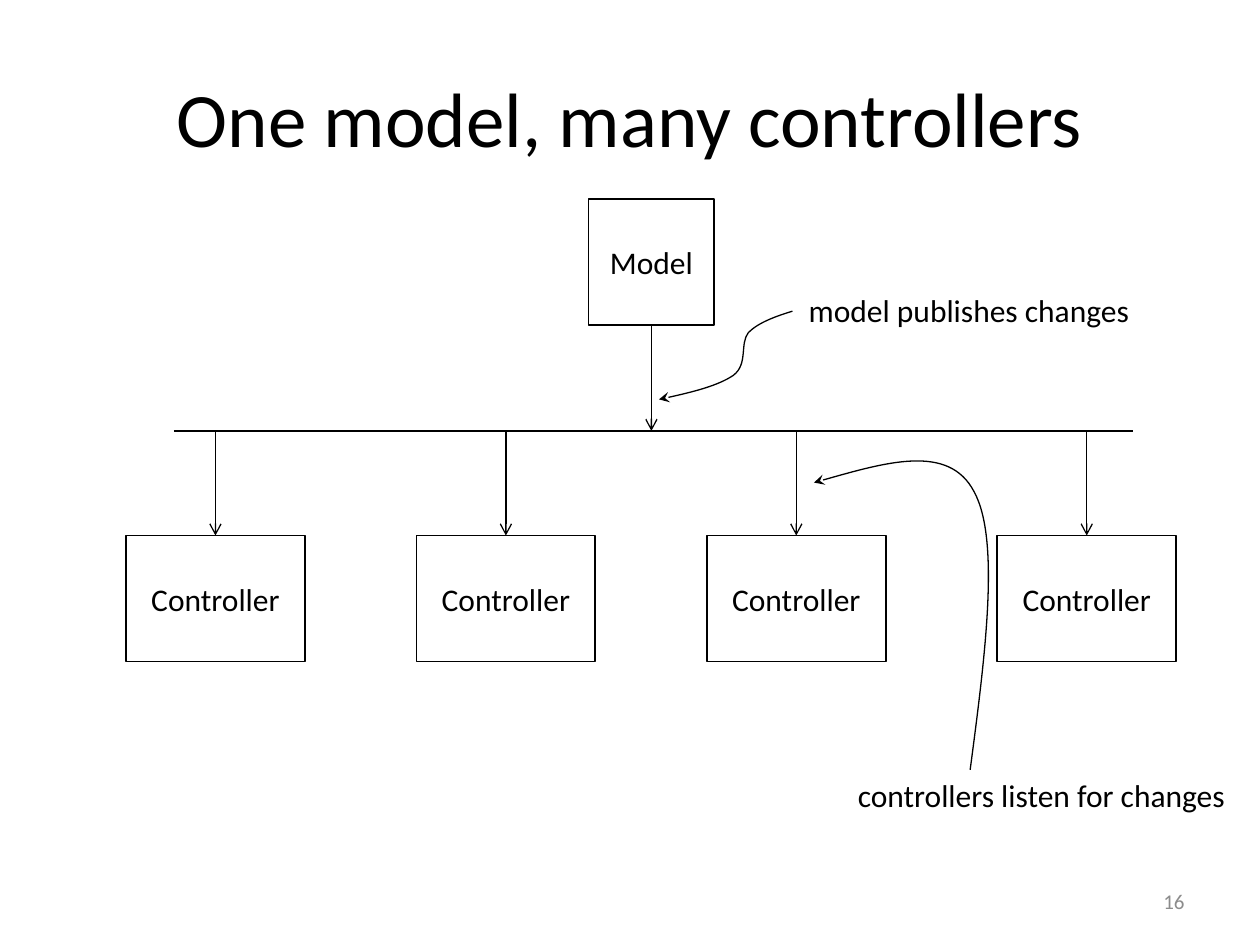
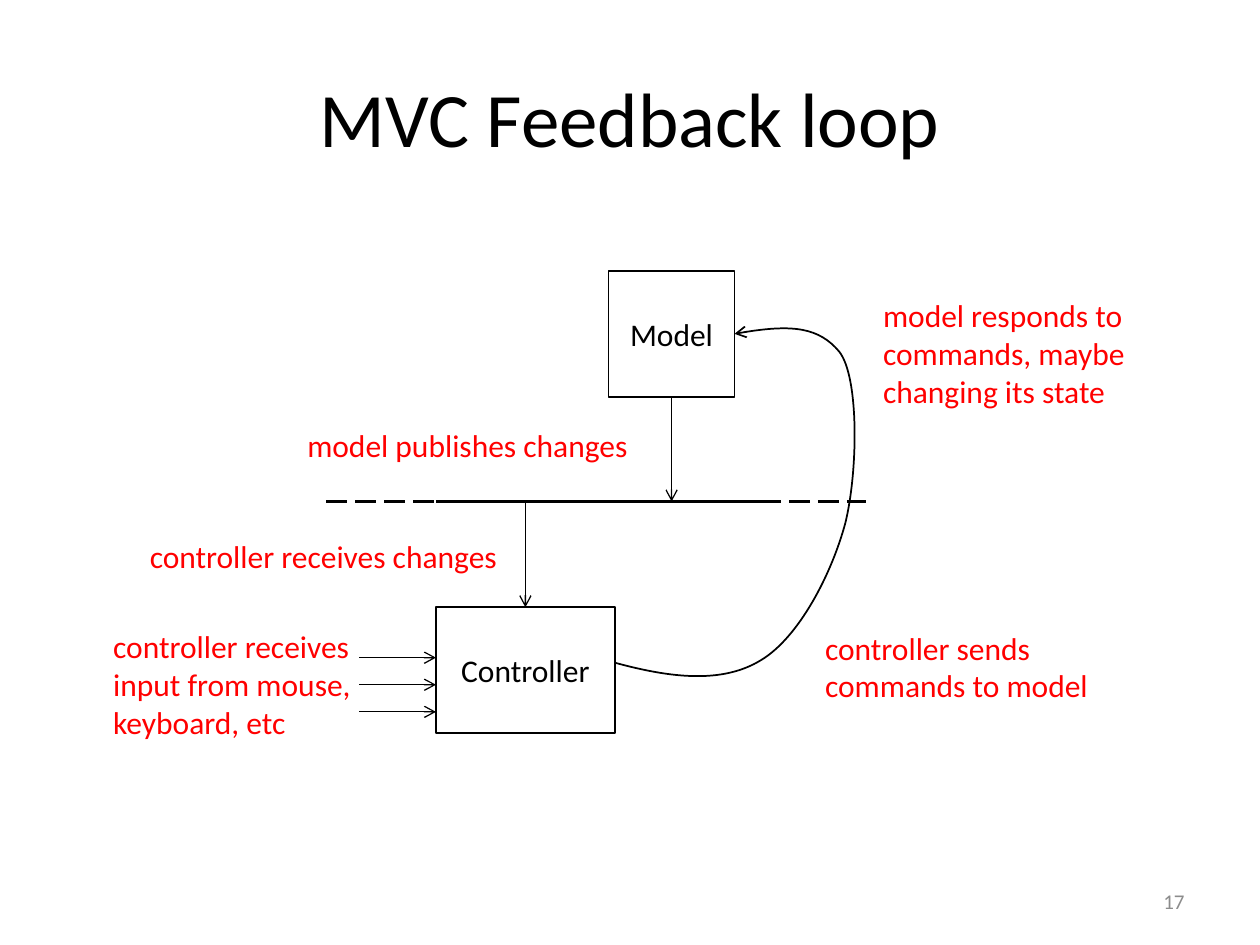
from typing import NamedTuple

import lxml.etree
import pptx
import pptx.dml.color
import pptx.enum.dml
import pptx.enum.shapes
import pptx.enum.text
import pptx.oxml.ns
import pptx.presentation
import pptx.shapes.autoshape
import pptx.shapes.connector
import pptx.slide
import pptx.text.text
import pptx.util
from pptx.util import Inches

COLORS = {"ink": "000000", "accent": "FF0000", "muted": "8C8C8C"}
FONT = "Calibri"
TITLE_ONLY = 5
TOP, BOTTOM = 0, 2
ALIGN = pptx.enum.text.PP_ALIGN
ANCHOR = pptx.enum.text.MSO_ANCHOR
qn = pptx.oxml.ns.qn

Point = tuple[float, float]
Shape = pptx.shapes.autoshape.Shape
Connector = pptx.shapes.connector.Connector
Slide = pptx.slide.Slide


class Component(NamedTuple):
    label: str
    left: float
    top: float
    width: float
    height: float = 1.0

    @property
    def center(self) -> float:
        return self.left + self.width / 2

    @property
    def bottom(self) -> float:
        return self.top + self.height


class Note(NamedTuple):
    text: str
    left: float
    top: float
    width: float
    height: float = 0.4
    color: str = "accent"
    wrap: bool = False


class Curve(NamedTuple):
    """A start point, then three Bezier points for each segment."""
    points: list[Point]
    head: str
    weight: float


def rgb(name: str) -> pptx.dml.color.RGBColor:
    return pptx.dml.color.RGBColor.from_string(COLORS[name])


def write_text(frame: pptx.text.text.TextFrame, text: str, *, size: float = 18,
               color: str = "ink", align: ALIGN = ALIGN.LEFT,
               anchor: ANCHOR = ANCHOR.TOP, wrap: bool = True) -> None:
    frame.text = text
    frame.word_wrap = wrap
    frame.vertical_anchor = anchor
    for paragraph in frame.paragraphs:
        paragraph.alignment = align
        font = paragraph.runs[0].font
        font.name, font.size = FONT, pptx.util.Pt(size)
        font.color.rgb = rgb(color)


def style_line(shape: Shape | Connector, weight: float, head: str = "") -> None:
    shape.line.color.rgb = rgb("ink")
    shape.line.width = pptx.util.Pt(weight)
    if head:
        outline = shape.element.spPr.find(qn("a:ln"))
        lxml.etree.SubElement(outline, qn("a:tailEnd"), type=head)


def add_component(slide: Slide, component: Component) -> Shape:
    shape = slide.shapes.add_shape(
        pptx.enum.shapes.MSO_SHAPE.RECTANGLE, *map(Inches, component[1:]))
    shape.shadow.inherit = False
    shape.fill.background()
    style_line(shape, 1)
    write_text(shape.text_frame, component.label, align=ALIGN.CENTER, anchor=ANCHOR.MIDDLE)
    return shape


def add_line(slide: Slide, start: Point, end: Point, weight: float = 0.75,
             head: str = "") -> Connector:
    line = slide.shapes.add_connector(
        pptx.enum.shapes.MSO_CONNECTOR.STRAIGHT, *map(Inches, start + end))
    style_line(line, weight, head)
    lxml.etree.SubElement(line.element.spPr, qn("a:effectLst"))
    return line


def add_publisher(slide: Slide, model: Component, bus: float) -> None:
    """Draw the model and its arrow down to the bus."""
    shape = add_component(slide, model)
    arrow = add_line(slide, (model.center, model.bottom), (model.center, bus), head="arrow")
    arrow.begin_connect(shape, BOTTOM)


def add_listener(slide: Slide, controller: Component, bus: float) -> None:
    """Draw a controller and the arrow reaching it from the bus."""
    shape = add_component(slide, controller)
    arrow = add_line(slide, (controller.center, bus), (controller.center, controller.top),
                     head="arrow")
    arrow.end_connect(shape, TOP)


def add_note(slide: Slide, note: Note) -> None:
    box = slide.shapes.add_textbox(*map(Inches, note[1:5]))
    write_text(box.text_frame, note.text, color=note.color, wrap=note.wrap)
    box.text_frame.auto_size = pptx.enum.text.MSO_AUTO_SIZE.SHAPE_TO_FIT_TEXT


def add_curve(slide: Slide, curve: Curve) -> None:
    start, *rest = [(Inches(x), Inches(y)) for x, y in curve.points]
    builder = slide.shapes.build_freeform(*start)
    builder.add_line_segments(rest, close=False)
    shape = builder.convert_to_shape()
    shape.shadow.inherit = False
    shape.fill.background()
    style_line(shape, curve.weight, curve.head)
    # The builder only knows straight segments: merge every three into one Bezier.
    segments = list(shape.element.iter(qn("a:lnTo")))
    for first in range(0, len(segments), 3):
        bezier = lxml.etree.Element(qn("a:cubicBezTo"))
        segments[first].addprevious(bezier)
        for segment in segments[first:first + 3]:
            bezier.append(segment[0])
            segment.getparent().remove(segment)


def add_titled_slide(deck: pptx.presentation.Presentation, title: str, number: int) -> Slide:
    slide = deck.slides.add_slide(deck.slide_layouts[TITLE_ONLY])
    heading = slide.shapes.title
    heading.left, heading.top = Inches(0.5), Inches(0.3)
    heading.width, heading.height = Inches(9), Inches(1.25)
    write_text(heading.text_frame, title, size=44, align=ALIGN.CENTER, anchor=ANCHOR.MIDDLE)
    page = slide.shapes.add_textbox(Inches(7.17), Inches(6.95), Inches(2.33), Inches(0.4))
    write_text(page.text_frame, str(number), size=12, color="muted",
               align=ALIGN.RIGHT, anchor=ANCHOR.MIDDLE)
    return slide


def build_many_controllers(deck: pptx.presentation.Presentation) -> None:
    slide = add_titled_slide(deck, "One model, many controllers", 16)
    bus = 3.42
    add_line(slide, (1.38, bus), (8.99, bus), 1.5)
    add_publisher(slide, Component("Model", 4.67, 1.58, 1), bus)
    for column in range(4):
        add_listener(slide, Component("Controller", 1 + 2.305 * column, 4.25, 1.42), bus)

    add_note(slide, Note("model publishes changes", 6.32, 2.26, 2.78, color="ink"))
    add_note(slide, Note("controllers listen for changes", 6.71, 6.11, 3.15, color="ink"))
    add_curve(slide, Curve([
        (6.29, 2.47), (6.16, 2.51), (6.02, 2.56), (5.94, 2.64), (5.87, 2.73),
        (5.94, 2.89), (5.82, 2.98), (5.7, 3.06), (5.47, 3.12), (5.23, 3.17),
    ], "stealth", 0.75))
    add_curve(slide, Curve([
        (7.7, 6.11), (7.82, 5.2), (7.94, 4.28), (7.73, 3.9),
        (7.53, 3.52), (6.99, 3.68), (6.46, 3.83),
    ], "stealth", 0.75))


def build_feedback_loop(deck: pptx.presentation.Presentation) -> None:
    slide = add_titled_slide(deck, "MVC Feedback loop", 17)
    bus = 3.98
    controller = Component("Controller", 3.46, 4.82, 1.42)
    add_publisher(slide, Component("Model", 4.83, 2.15, 1), bus)
    add_listener(slide, controller, bus)
    add_line(slide, (controller.left, bus), (6.09, bus), 1.5)
    bus_extension = add_line(slide, (2.59, bus), (6.87, bus), 1.5)
    bus_extension.line.dash_style = pptx.enum.dml.MSO_LINE.LONG_DASH
    for device in range(3):
        height = 5.22 + 0.215 * device
        add_line(slide, (2.85, height), (controller.left, height), head="arrow")

    for note in (
        Note("controller receives changes", 1.09, 4.21, 2.99),
        Note("controller receives\ninput from mouse, keyboard, etc", 0.8, 4.93, 2.35, 1.01,
             wrap=True),
        Note("model publishes changes", 2.34, 3.33, 2.78),
        Note("controller sends\ncommands to model", 6.45, 4.94, 2.31, 0.71),
        Note("model responds to commands, maybe changing its state", 6.91, 2.3, 2.29, 1.01,
             wrap=True),
    ):
        add_note(slide, note)
    add_curve(slide, Curve([
        (4.88, 5.26), (5.32, 5.38), (5.73, 5.43), (6.04, 5.24), (6.34, 5.06),
        (6.6, 4.56), (6.71, 4.15), (6.81, 3.74), (6.82, 2.99), (6.66, 2.79),
        (6.5, 2.6), (6.26, 2.57), (5.83, 2.65),
    ], "arrow", 1))


def main() -> None:
    deck = pptx.Presentation()
    deck.slide_width, deck.slide_height = Inches(10), Inches(7.5)
    build_many_controllers(deck)
    build_feedback_loop(deck)
    deck.save("out.pptx")


if __name__ == "__main__":
    main()
